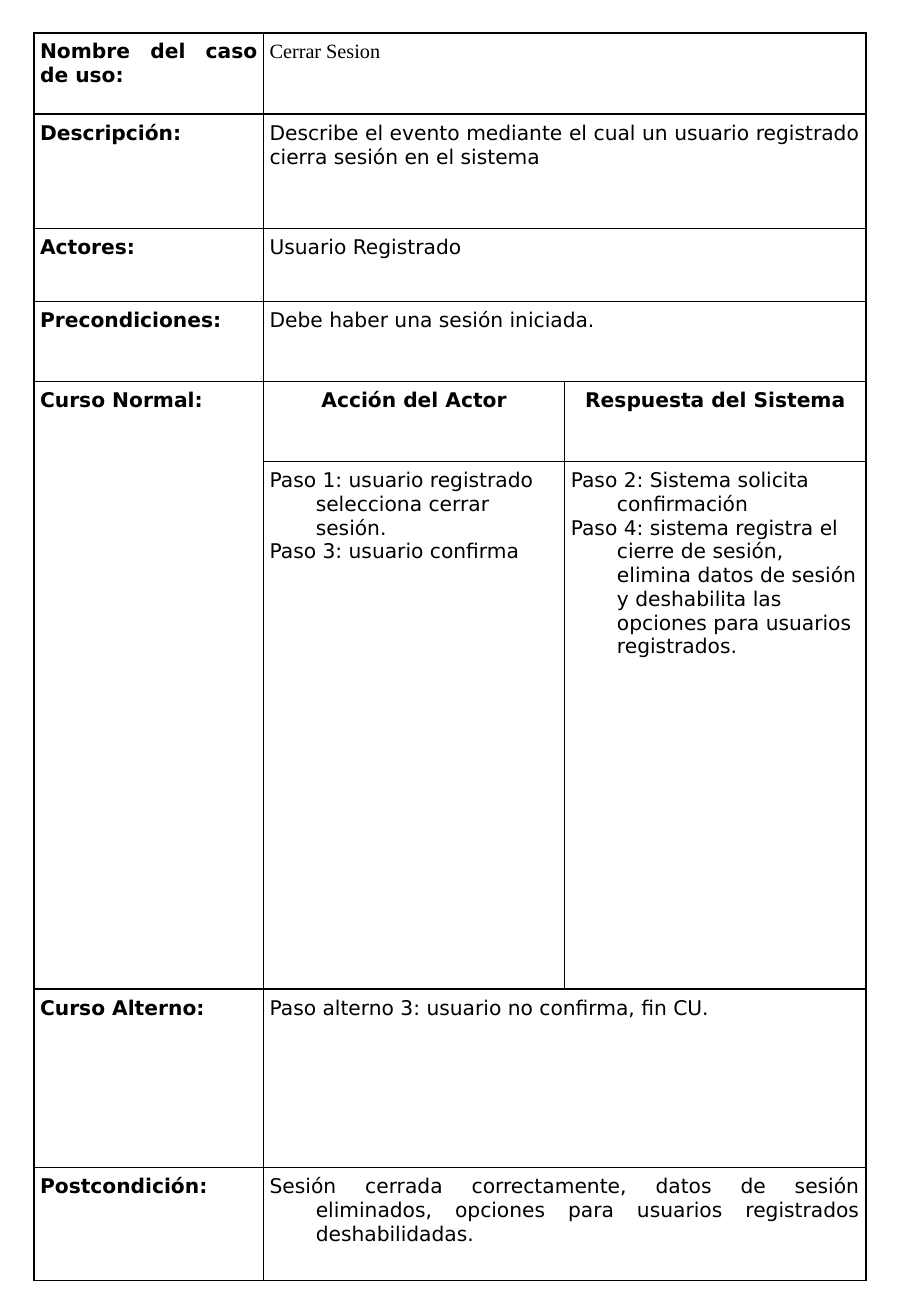
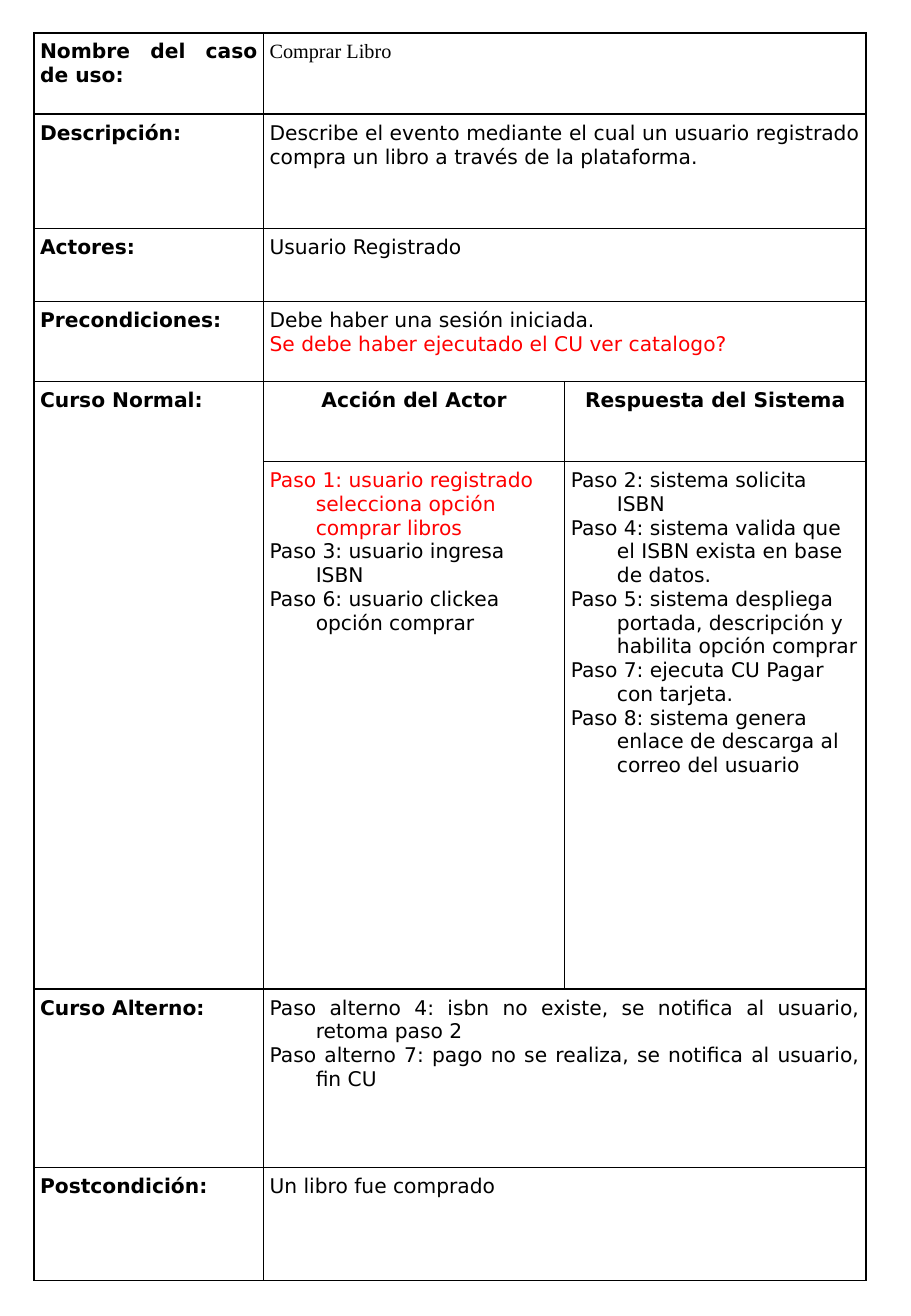
from dataclasses import dataclass

from lxml.etree import fromstring
from pptx import Presentation
from pptx.dml.color import RGBColor
from pptx.enum.text import MSO_ANCHOR, PP_ALIGN as Align
from pptx.oxml.ns import nsdecls
from pptx.util import Inches, Pt


@dataclass(frozen=True)
class Theme:
    font: str = "DejaVu Sans"
    name_font: str = "Times New Roman"
    size: int = 12
    ink: str = "000000"
    doubt: str = "FF0000"
    border_width: int = 1
    hanging: float = 0.38
    margin_x: float = 0.05
    margin_y: float = 0.06


THEME = Theme()
COLUMNS = [1.89, 2.48, 2.48]
ROWS = [0.67, 0.94, 0.6, 0.66, 0.66, 4.34, 1.47, 0.93]
LABELS = {
    0: "Nombre del caso de uso:",
    1: "Descripción:",
    2: "Actores:",
    3: "Precondiciones:",
    4: "Curso Normal:",
    6: "Curso Alterno:",
    7: "Postcondición:",
}
COURSE_ROW, STEPS_ROW = 4, 5

# "wide" maps a row to its paragraphs; "doubts" are the paragraphs in red.
USE_CASES = [
    {
        "wide": {
            0: ["Cerrar Sesion"],
            1: ["Describe el evento mediante el cual un usuario registrado "
                "cierra sesión en el sistema"],
            2: ["Usuario Registrado"],
            3: ["Debe haber una sesión iniciada."],
            6: ["Paso alterno 3: usuario no confirma, fin CU."],
            7: ["Sesión cerrada correctamente, datos de sesión eliminados, "
                "opciones para usuarios registrados deshabilidadas."],
        },
        "actor": [
            "Paso 1: usuario registrado selecciona cerrar sesión.",
            "Paso 3: usuario confirma",
        ],
        "system": [
            "Paso 2: Sistema solicita confirmación",
            "Paso 4: sistema registra el cierre de sesión, elimina datos de "
            "sesión y deshabilita las opciones para usuarios registrados.",
        ],
        "doubts": [],
    },
    {
        "wide": {
            0: ["Comprar Libro"],
            1: ["Describe el evento mediante el cual un usuario registrado "
                "compra un libro a través de la plataforma."],
            2: ["Usuario Registrado"],
            3: ["Debe haber una sesión iniciada.",
                "Se debe haber ejecutado el CU ver catalogo?"],
            6: ["Paso alterno 4: isbn no existe, se notifica al usuario, "
                "retoma paso 2",
                "Paso alterno 7: pago no se realiza, se notifica al usuario, "
                "fin CU"],
            7: ["Un libro fue comprado"],
        },
        "actor": [
            "Paso 1: usuario registrado selecciona opción comprar libros",
            "Paso 3: usuario ingresa ISBN",
            "Paso 6: usuario clickea opción comprar",
        ],
        "system": [
            "Paso 2: sistema solicita ISBN",
            "Paso 4: sistema valida que el ISBN exista en base de datos.",
            "Paso 5: sistema despliega portada, descripción y habilita "
            "opción comprar",
            "Paso 7: ejecuta CU Pagar con tarjeta.",
            "Paso 8: sistema genera enlace de descarga al correo del usuario",
        ],
        "doubts": [
            "Se debe haber ejecutado el CU ver catalogo?",
            "Paso 1: usuario registrado selecciona opción comprar libros",
        ],
    },
]


def style_cell(cell):
    """Clear the fill, set the margins and draw the four borders."""
    cell.fill.background()
    cell.vertical_anchor = MSO_ANCHOR.TOP
    cell.margin_left = cell.margin_right = Inches(THEME.margin_x)
    cell.margin_top = cell.margin_bottom = Inches(THEME.margin_y)
    properties = cell._tc.get_or_add_tcPr()
    for position, side in enumerate(["lnL", "lnR", "lnT", "lnB"]):
        properties.insert(position, fromstring(
            f'<a:{side} {nsdecls("a")} w="{Pt(THEME.border_width)}"><a:solidFill>'
            f'<a:srgbClr val="{THEME.ink}"/></a:solidFill></a:{side}>'))


def write_cell(cell, lines, align=Align.JUSTIFY, bold=False, hanging=False,
               font=THEME.font, doubts=()):
    frame = cell.text_frame
    frame.text = "\n".join(lines)
    for paragraph in frame.paragraphs:
        paragraph.alignment = align
        if hanging:
            indents = paragraph._p.get_or_add_pPr()
            indents.set("marL", str(Inches(THEME.hanging)))
            indents.set("indent", str(-Inches(THEME.hanging)))
        color = THEME.doubt if paragraph.text in doubts else THEME.ink
        for run in paragraph.runs:
            run.font.name = font
            run.font.size = Pt(THEME.size)
            run.font.bold = bold
            run.font.color.rgb = RGBColor.from_string(color)


prs = Presentation()
prs.slide_width, prs.slide_height = Inches(7.5), Inches(10.83)
blank_layout = prs.slide_layouts[6]

for use_case in USE_CASES:
    slide = prs.slides.add_slide(blank_layout)
    sheet = slide.shapes.add_table(
        len(ROWS), len(COLUMNS), Inches(0.28), Inches(0.27),
        Inches(sum(COLUMNS)), Inches(sum(ROWS))).table
    sheet.first_row = sheet.horz_banding = False
    for column, width in zip(sheet.columns, COLUMNS):
        column.width = Inches(width)
    for row, height in zip(sheet.rows, ROWS):
        row.height = Inches(height)
    for cell in sheet.iter_cells():
        style_cell(cell)

    sheet.cell(COURSE_ROW, 0).merge(sheet.cell(STEPS_ROW, 0))
    for row, label in LABELS.items():
        write_cell(sheet.cell(row, 0), [label], bold=True,
                   hanging=row >= COURSE_ROW)

    for row, lines in use_case["wide"].items():
        sheet.cell(row, 1).merge(sheet.cell(row, 2))
        write_cell(sheet.cell(row, 1), lines, hanging=row > STEPS_ROW,
                   font=THEME.name_font if row == 0 else THEME.font,
                   doubts=use_case["doubts"])

    courses = [("Acción del Actor", "actor"), ("Respuesta del Sistema", "system")]
    for column, (heading, role) in enumerate(courses, start=1):
        write_cell(sheet.cell(COURSE_ROW, column), [heading], Align.CENTER,
                   bold=True, hanging=True)
        write_cell(sheet.cell(STEPS_ROW, column), use_case[role], Align.LEFT,
                   hanging=True, doubts=use_case["doubts"])

prs.save("out.pptx")
